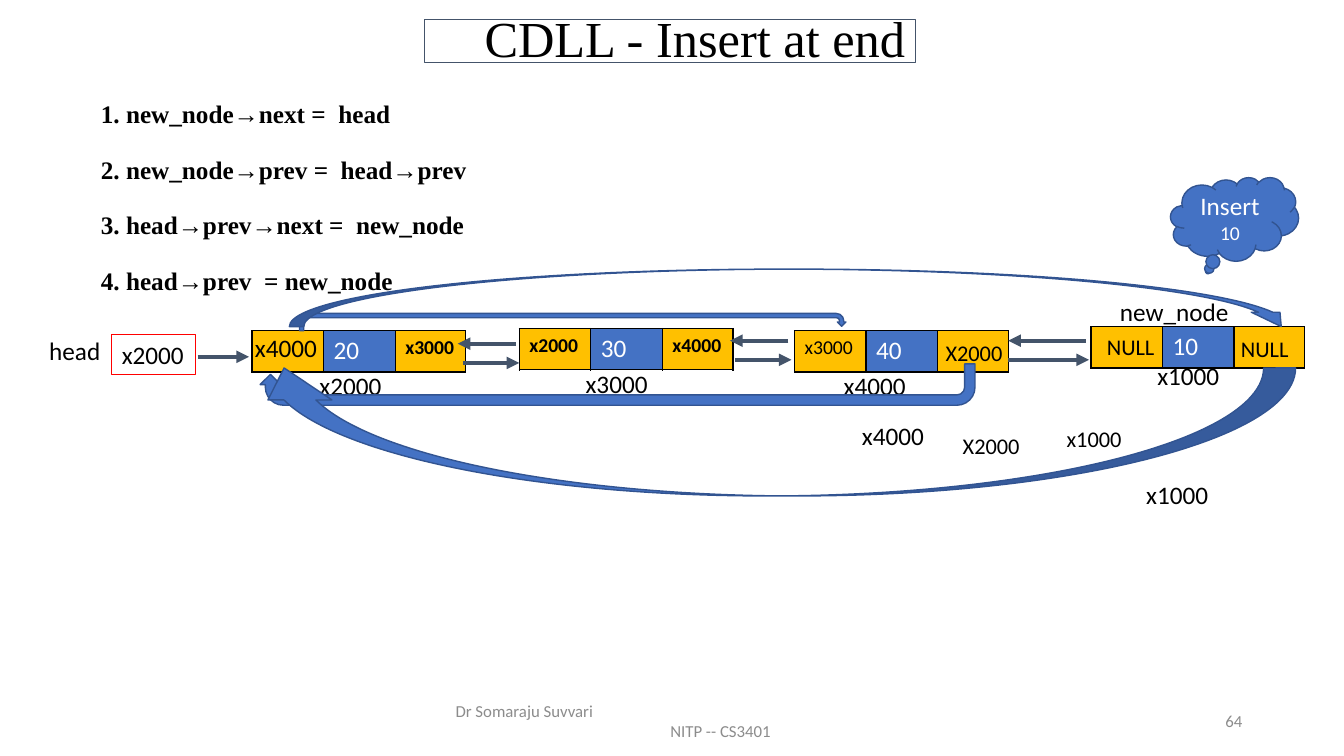
from dataclasses import dataclass
from typing import Optional

from lxml import etree
from pptx import Presentation
from pptx import util as u
from pptx.dml.color import RGBColor
from pptx.enum import shapes, text
from pptx.oxml import ns


@dataclass(frozen=True)
class Theme:
    sans: str = "Calibri"
    serif: str = "Times New Roman"
    black: str = "000000"
    white: str = "FFFFFF"
    blue: str = "4472C4"
    outline: str = "325491"
    gold: str = "FFC000"
    slate: str = "44546A"
    red: str = "FF0000"
    grey: str = "8C8C8C"
    title: int = 36
    normal: int = 18
    value: int = 16
    small: int = 14
    footer: int = 12


@dataclass(frozen=True)
class Box:
    left: float
    top: float
    width: float
    height: float


@dataclass(frozen=True)
class Node:
    left: float
    top: float
    cells: tuple[str, str, str]
    bold: tuple[bool, bool, bool] = (False, False, False)


@dataclass(frozen=True)
class Label:
    words: str
    left: float
    top: float
    size: int = 18
    width: float = 0.9


@dataclass(frozen=True)
class Link:
    start: float
    end: float
    level: float


@dataclass(frozen=True)
class BlockArrow:
    kind: shapes.MSO_SHAPE
    box: Box
    rotation: int = 0


THEME = Theme()
COLUMN_WIDTHS = (0.71, 0.71, 0.7)
NODE_HEIGHT = 0.41

NODES = (
    Node(2.5, 3.28, ("", "20", "x3000"), (False, False, True)),
    Node(5.15, 3.26, ("x2000", "30", "x4000"), (True, False, True)),
    Node(7.88, 3.28, ("x3000", "40", "")),
    Node(10.82, 3.24, ("", "10", "")),
)
LABELS = (
    Label("head", 0.39, 3.28),
    Label("x2000", 3.07, 3.62),
    Label("x3000", 5.71, 3.6),
    Label("x4000", 8.27, 3.62),
    Label("x1000", 11.38, 3.53),
    Label("new_node", 11.01, 2.89, width=1.49),
    Label("x4000", 2.43, 3.25),
    Label("X2000", 9.28, 3.32, THEME.value),
    Label("NULL", 10.88, 3.26, THEME.value),
    Label("NULL", 12.21, 3.28, THEME.value),
    Label("x4000", 8.45, 4.12),
    Label("X2000", 9.45, 4.24, THEME.value),
    Label("x1000", 10.48, 4.17, THEME.value),
    Label("x1000", 11.27, 4.71),
)
LINKS = (
    Link(1.96, 2.47, 3.54),
    Link(4.59, 5.15, 3.6),
    Link(5.12, 4.54, 3.41),
    Link(7.29, 7.85, 3.57),
    Link(7.82, 7.24, 3.38),
    Link(10, 10.8, 3.57),
    Link(10.77, 10, 3.38),
)
BLOCK_ARROWS = (
    BlockArrow(shapes.MSO_SHAPE.U_TURN_ARROW, Box(2.97, 3.11, 5.42, 0.17)),
    BlockArrow(shapes.MSO_SHAPE.U_TURN_ARROW, Box(2.58, 3.61, 7.09, 0.41), 180),
    BlockArrow(shapes.MSO_SHAPE.CURVED_DOWN_ARROW, Box(2.5, 3.65, 10.35, 1.27), 180),
    BlockArrow(shapes.MSO_SHAPE.CURVED_DOWN_ARROW, Box(2.87, 2.67, 9.98, 0.57)),
)
STEPS = (
    "1. new_node→next =  head",
    "2. new_node→prev =  head→prev",
    "3. head→prev→next =  new_node",
    "4. head→prev  = new_node",
)


def frame(box: Box) -> tuple:
    return tuple(u.Inches(n) for n in (box.left, box.top, box.width, box.height))


def place(shape, box: Box) -> None:
    shape.left, shape.top, shape.width, shape.height = frame(box)


def style(target, size: int, color: str = THEME.black, name: str = THEME.sans, bold: bool = False) -> None:
    target.font.name, target.font.size, target.font.bold = name, u.Pt(size), bold
    target.font.color.rgb = RGBColor.from_string(color)


def paint(shape, fill: Optional[str], line: str, weight: float) -> None:
    if fill:
        shape.fill.solid()
        shape.fill.fore_color.rgb = RGBColor.from_string(fill)
    else:
        shape.fill.background()
    shape.line.color.rgb = RGBColor.from_string(line)
    shape.line.width = u.Pt(weight)


def add_shape(slide, kind, box: Box, fill: Optional[str], line: str, weight: float = 1):
    shape = slide.shapes.add_shape(kind, *frame(box))
    shape.shadow.inherit = False
    paint(shape, fill, line, weight)
    return shape


def add_text(slide, words: str, box: Box, size: int, color: str = THEME.black):
    text_frame = slide.shapes.add_textbox(*frame(box)).text_frame
    text_frame.word_wrap = True
    text_frame.text = words
    for paragraph in text_frame.paragraphs:
        style(paragraph, size, color)
    return text_frame


def add_title(slide) -> None:
    title = slide.shapes.title
    place(title, Box(4.21, 0.19, 4.87, 0.43))
    paint(title, None, THEME.slate, 0.75)
    title.text_frame.text = "CDLL - Insert at end"
    title.text_frame.auto_size = text.MSO_AUTO_SIZE.NONE
    title.text_frame.vertical_anchor = text.MSO_ANCHOR.MIDDLE
    paragraph = title.text_frame.paragraphs[0]
    paragraph.alignment, paragraph.line_spacing = text.PP_ALIGN.RIGHT, 0.9
    style(paragraph, THEME.title, name=THEME.serif)


def add_steps(slide) -> None:
    body = slide.placeholders[1]
    place(body, Box(0.9, 0.93, 6.65, 2.02))
    body.text_frame.text = "\n".join(STEPS)
    body.text_frame.auto_size = text.MSO_AUTO_SIZE.NONE
    for index, paragraph in enumerate(body.text_frame.paragraphs):
        properties = paragraph._p.get_or_add_pPr()
        properties.set("marL", "0")
        properties.set("indent", "0")
        etree.SubElement(properties, ns.qn("a:buNone"))
        paragraph.space_before = u.Pt(18 if index else 0)
        style(paragraph, THEME.normal, name=THEME.serif, bold=True)


def add_node(slide, node: Node) -> None:
    box = Box(node.left, node.top, sum(COLUMN_WIDTHS), NODE_HEIGHT)
    table = slide.shapes.add_table(1, 3, *frame(box)).table
    table.first_row = table.horz_banding = False
    fills = (THEME.gold, THEME.blue, THEME.gold)
    for index, (words, bold, fill) in enumerate(zip(node.cells, node.bold, fills)):
        table.columns[index].width = u.Inches(COLUMN_WIDTHS[index])
        cell = table.cell(0, index)
        cell.text = words
        is_data = index == 1
        if words:
            style(cell.text_frame.paragraphs[0], THEME.normal if is_data else THEME.small,
                  THEME.white if is_data else THEME.black, bold=bold)
        properties = cell._tc.get_or_add_tcPr()
        for side in ("lnL", "lnR", "lnT", "lnB"):
            border = etree.SubElement(properties, ns.qn(f"a:{side}"), w=str(u.Pt(1)))
            solid = etree.SubElement(border, ns.qn("a:solidFill"))
            etree.SubElement(solid, ns.qn("a:srgbClr"), val=THEME.black)
        cell.fill.solid()
        cell.fill.fore_color.rgb = RGBColor.from_string(fill)


def add_link(slide, link: Link) -> None:
    ends = (u.Inches(n) for n in (link.start, link.level, link.end, link.level))
    connector = slide.shapes.add_connector(shapes.MSO_CONNECTOR.STRAIGHT, *ends)
    connector.line.color.rgb = RGBColor.from_string(THEME.slate)
    connector.line.width = u.Pt(3)
    properties = connector.element.spPr
    etree.SubElement(properties.find(ns.qn("a:ln")), ns.qn("a:tailEnd"), type="triangle")
    etree.SubElement(properties, ns.qn("a:effectLst"))


def add_head_box(slide) -> None:
    shape = add_shape(slide, shapes.MSO_SHAPE.RECTANGLE, Box(1.11, 3.32, 0.83, 0.4), None, THEME.red, 0.75)
    shape.text_frame.text = "x2000"
    shape.text_frame.vertical_anchor = text.MSO_ANCHOR.TOP
    paragraph = shape.text_frame.paragraphs[0]
    paragraph.alignment = text.PP_ALIGN.LEFT
    style(paragraph, THEME.normal)


def add_cloud(slide) -> None:
    cloud = add_shape(slide, shapes.MSO_SHAPE.CLOUD_CALLOUT, Box(11.61, 1.76, 1.27, 0.83), THEME.blue, THEME.outline)
    paragraph = cloud.text_frame.paragraphs[0]
    paragraph.alignment = text.PP_ALIGN.CENTER
    for words, size in (("Insert ", THEME.normal), ("10", THEME.small)):
        run = paragraph.add_run()
        run.text = words
        style(run, size, THEME.white)


def add_footer(slide) -> None:
    author = add_text(slide, "Dr Somaraju Suvvari\nNITP -- CS3401", Box(4.42, 6.95, 4.5, 0.4), THEME.footer, THEME.grey)
    author.paragraphs[1]._p.get_or_add_pPr().set("marL", str(u.Inches(2.13)))
    number = add_text(slide, "64", Box(9.42, 6.95, 3, 0.4), THEME.footer, THEME.grey)
    number.paragraphs[0].alignment = text.PP_ALIGN.RIGHT
    for text_frame in (author, number):
        text_frame.vertical_anchor = text.MSO_ANCHOR.MIDDLE


def main() -> None:
    presentation = Presentation()
    presentation.slide_width, presentation.slide_height = u.Inches(13.33), u.Inches(7.5)
    slide = presentation.slides.add_slide(presentation.slide_layouts[1])
    add_title(slide)
    add_steps(slide)
    add_head_box(slide)
    for node in NODES:
        add_node(slide, node)
    for link in LINKS:
        add_link(slide, link)
    add_cloud(slide)
    for label in LABELS:
        add_text(slide, label.words, Box(label.left, label.top, label.width, 0.4), label.size)
    for arrow in BLOCK_ARROWS:
        shape = add_shape(slide, arrow.kind, arrow.box, THEME.blue, THEME.outline)
        shape.rotation = arrow.rotation
    add_footer(slide)
    presentation.save("out.pptx")


if __name__ == "__main__":
    main()
